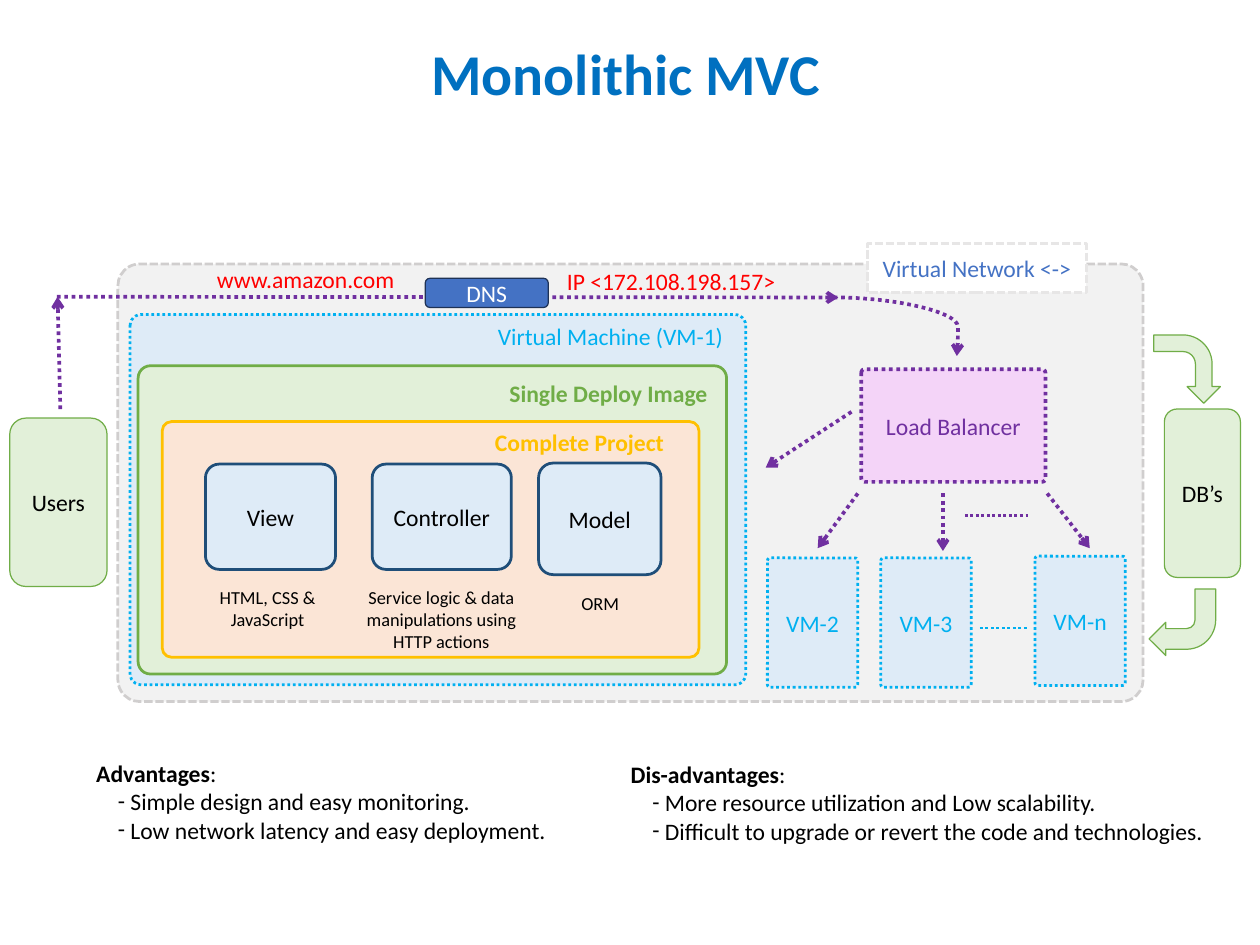
"""Build the Monolithic MVC architecture slide."""
from dataclasses import dataclass
from typing import Optional

import lxml.etree
import pptx
import pptx.dml.color
import pptx.dml.line
import pptx.enum.dml
import pptx.enum.shapes
import pptx.enum.text
import pptx.oxml.ns
import pptx.slide
import pptx.text.text
import pptx.util

Cm = pptx.util.Cm
Pt = pptx.util.Pt
qn = pptx.oxml.ns.qn
Shape = pptx.enum.shapes.MSO_SHAPE
Connector = pptx.enum.shapes.MSO_CONNECTOR
Dash = pptx.enum.dml.MSO_LINE
Align = pptx.enum.text.PP_ALIGN
Anchor = pptx.enum.text.MSO_ANCHOR

FONT = "Calibri"
BODY, SMALL, HEADING = 19.2, 14.9, 46.9
BLACK, WHITE, RED = "000000", "FFFFFF", "FF0000"
PALE_BLUE, SKY, NAVY = "DEEBF7", "00B0F0", "1F4E79"
PALE_GREEN, GREEN = "E2F0D9", "70AD47"
GOLD, PURPLE, BLUE = "FFC000", "7030A0", "4472C4"


@dataclass
class Box:
    left: float
    top: float
    width: float
    height: float
    fill: str
    outline: str
    weight: float = 2.25
    dash: Optional[Dash] = None
    text: str = ""
    color: str = BLACK
    kind: Shape = Shape.ROUNDED_RECTANGLE
    adjustments: tuple[float, ...] = ()
    rotation: float = 0


@dataclass
class Label:
    text: str
    left: float
    top: float
    width: float
    height: float
    color: str = BLACK
    size: float = BODY
    bold: bool = False
    align: Align = Align.CENTER
    anchor: Anchor = Anchor.TOP
    spacing: float = 1.0


@dataclass
class Link:
    start: tuple[float, float]
    end: tuple[float, float]
    color: str = PURPLE
    weight: float = 3
    arrow: bool = True
    bend: Optional[int] = None


@dataclass
class PointList:
    heading: str
    points: tuple[str, ...]
    left: float
    top: float
    width: float
    height: float = 2.72


def machine(name: str, left: float, top: float) -> Box:
    return Box(left, top, 2.59, 3.71, PALE_BLUE, SKY, dash=Dash.ROUND_DOT,
               text=name, color=SKY, adjustments=(0.03,))


def part(name: str, left: float, top: float, width: float, height: float) -> Box:
    return Box(left, top, width, height, PALE_BLUE, NAVY, text=name, adjustments=(0.13,))


BOXES = [
    Box(3.38, 7.57, 29.39, 12.55, "F2F2F2", "D0CECE", dash=Dash.SQUARE_DOT, adjustments=(0.05,)),
    Box(3.73, 9.02, 17.65, 10.62, PALE_BLUE, SKY, dash=Dash.ROUND_DOT, adjustments=(0.03,)),
    Box(3.96, 10.49, 16.87, 8.84, PALE_GREEN, GREEN, adjustments=(0.04,)),
    Box(4.65, 12.09, 15.39, 6.76, "FBE5D6", GOLD, adjustments=(0.04,)),
    part("View", 5.89, 13.31, 3.73, 3.02),
    part("Controller", 10.67, 13.31, 3.99, 3.02),
    part("Model", 15.44, 13.28, 3.51, 3.2),
    Box(0.28, 11.99, 2.79, 4.83, PALE_GREEN, GREEN, 1, text="Users"),
    Box(33.38, 11.73, 2.18, 4.83, PALE_GREEN, GREEN, 1, text="DB’s"),
    Box(24.87, 6.99, 6.27, 1.4, WHITE, "E7E6E6", dash=Dash.SQUARE_DOT,
        text="Virtual Network <->", color=BLUE, kind=Shape.RECTANGLE),
    machine("VM-2", 22, 16),
    machine("VM-3", 25.25, 16),
    machine("VM-n", 29.67, 15.95),
    Box(24.69, 10.59, 5.28, 3.23, "F4D4F8", PURPLE, 3, Dash.ROUND_DOT,
        "Load Balancer", PURPLE, adjustments=(0.03,)),
    Box(33.05, 9.63, 1.96, 1.91, PALE_GREEN, GREEN, 1, kind=Shape.BENT_ARROW, rotation=90),
    Box(32.94, 16.89, 1.91, 1.91, PALE_GREEN, GREEN, 1, kind=Shape.BENT_ARROW,
        adjustments=(0.31, 0.25, 0.25, 0.44), rotation=180),
]
LINKS = [
    Link((28.09, 18.01), (29.46, 18.01), SKY, 2.25, arrow=False),
    Link((27.66, 14.78), (29.51, 14.78), weight=2.25, arrow=False),
    Link((24.59, 14.15), (23.44, 15.72)),
    Link((27.03, 14.15), (27.03, 15.8)),
    Link((30.02, 14.15), (31.24, 15.72)),
    Link((24.41, 11.81), (21.95, 13.41)),
    Link((1.73, 11.73), (1.65, 8.51)),
    Link((1.63, 8.51), (24.03, 8.53)),
    Link((23.9, 8.53), (27.43, 10.21), bend=100900),
]
DNS = Box(12.19, 7.98, 3.53, 0.84, BLUE, "1E3256", 1, text="DNS", color=WHITE)
LABELS = [
    Label("Monolithic MVC", 2.51, 0.58, 30.86, 3.23, "0070C0", HEADING, True,
          anchor=Anchor.MIDDLE, spacing=0.9),
    Label("Virtual Machine (VM-1)", 14.02, 9.12, 7.37, 1.07, SKY, align=Align.LEFT),
    Label("Single Deploy Image", 14.17, 10.74, 6.55, 1.07, GREEN, bold=True),
    Label("Complete Project", 13.44, 12.14, 6.35, 1.07, GOLD, bold=True),
    Label("HTML, CSS & JavaScript", 5.31, 16.69, 4.72, 1.52, size=SMALL),
    Label("Service logic & data manipulations using HTTP actions",
          10.11, 16.69, 5.08, 2.16, size=SMALL),
    Label("ORM", 15.77, 16.87, 2.87, 0.89, size=SMALL),
    Label("www.amazon.com", 5.97, 7.47, 6.05, 1.09, RED, align=Align.LEFT),
    Label("IP <172.108.198.157>", 16, 7.52, 6.65, 1.07, RED, align=Align.LEFT),
]
POINT_LISTS = [
    PointList("Advantages", ("Simple design and easy monitoring.",
                             "Low network latency and easy deployment."), 2.51, 21.64, 13.72),
    PointList("Dis-advantages", ("More resource utilization and Low scalability.",
                                 "Difficult to upgrade or revert the code and technologies."),
              17.83, 21.67, 18.11),
]


def rgb(color: str) -> pptx.dml.color.RGBColor:
    return pptx.dml.color.RGBColor.from_string(color)


def add_span(para: pptx.text.text._Paragraph, text: str, color: str = BLACK,
             size: float = BODY, bold: bool = False) -> None:
    span = para.add_run()
    span.text = text
    span.font.name = FONT
    span.font.size = Pt(size)
    span.font.bold = bold
    span.font.color.rgb = rgb(color)


def style_line(line: pptx.dml.line.LineFormat, color: str, weight: float,
               dash: Optional[Dash]) -> None:
    line.color.rgb = rgb(color)
    line.width = Pt(weight)
    if dash is not None:
        line.dash_style = dash


def draw_box(page: pptx.slide.Slide, box: Box) -> None:
    shape = page.shapes.add_shape(box.kind, Cm(box.left), Cm(box.top), Cm(box.width), Cm(box.height))
    shape.shadow.inherit = False
    shape.rotation = box.rotation
    for index, value in enumerate(box.adjustments):
        shape.adjustments[index] = value
    shape.fill.solid()
    shape.fill.fore_color.rgb = rgb(box.fill)
    style_line(shape.line, box.outline, box.weight, box.dash)
    if box.text:
        shape.text_frame.vertical_anchor = Anchor.MIDDLE
        para = shape.text_frame.paragraphs[0]
        para.alignment = Align.CENTER
        add_span(para, box.text, box.color)


def add_frame(page: pptx.slide.Slide, area: Label | PointList) -> pptx.text.text.TextFrame:
    frame = page.shapes.add_textbox(
        Cm(area.left), Cm(area.top), Cm(area.width), Cm(area.height)).text_frame
    frame.word_wrap = True
    return frame


def draw_label(page: pptx.slide.Slide, label: Label) -> None:
    frame = add_frame(page, label)
    frame.vertical_anchor = label.anchor
    para = frame.paragraphs[0]
    para.alignment = label.align
    para.line_spacing = label.spacing
    add_span(para, label.text, label.color, label.size, label.bold)


def draw_points(page: pptx.slide.Slide, points: PointList) -> None:
    frame = add_frame(page, points)
    add_span(frame.paragraphs[0], points.heading, bold=True)
    add_span(frame.paragraphs[0], ":")
    for point in points.points:
        para = frame.add_paragraph()
        properties = para._p.get_or_add_pPr()
        properties.set("marL", str(Cm(0.98)))
        properties.set("indent", str(-Cm(0.36)))
        lxml.etree.SubElement(properties, qn("a:buFont"), typeface=FONT)
        lxml.etree.SubElement(properties, qn("a:buChar"), char="-")
        add_span(para, point)


def draw_link(page: pptx.slide.Slide, link: Link) -> None:
    kind = Connector.STRAIGHT if link.bend is None else Connector.CURVE
    connector = page.shapes.add_connector(kind, *map(Cm, link.start + link.end))
    style_line(connector.line, link.color, link.weight, Dash.ROUND_DOT)
    properties = connector.element.spPr
    if link.bend is not None:
        guides = properties.find(qn("a:prstGeom")).get_or_add_avLst()
        lxml.etree.SubElement(guides, qn("a:gd"), name="adj1", fmla=f"val {link.bend}")
    if link.arrow:
        lxml.etree.SubElement(properties.find(qn("a:ln")), qn("a:tailEnd"), type="arrow")
    lxml.etree.SubElement(properties, qn("a:effectLst"))


def main() -> None:
    deck = pptx.Presentation()
    deck.slide_width, deck.slide_height = Cm(36.12), Cm(27.1)
    page = deck.slides.add_slide(deck.slide_layouts[6])
    for box in BOXES:
        draw_box(page, box)
    for link in LINKS:
        draw_link(page, link)
    draw_box(page, DNS)
    for label in LABELS:
        draw_label(page, label)
    for points in POINT_LISTS:
        draw_points(page, points)
    deck.save("out.pptx")


if __name__ == "__main__":
    main()
